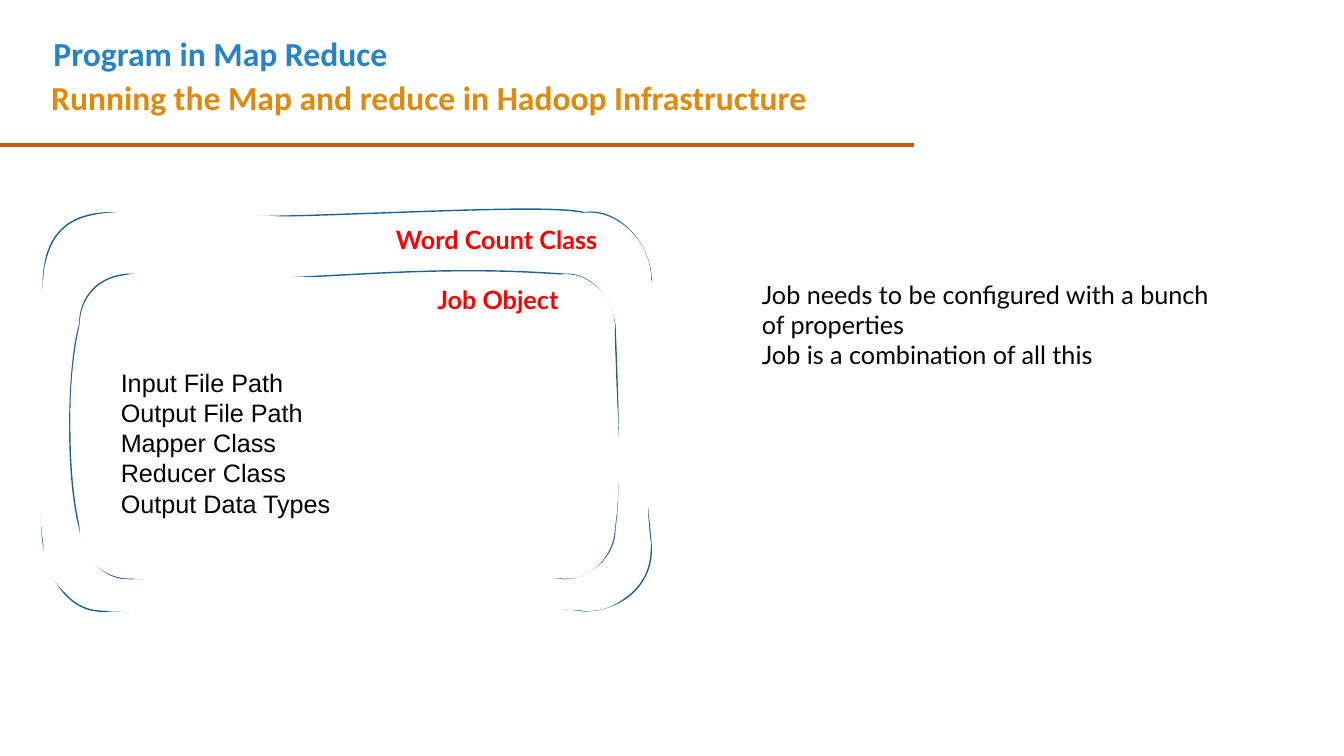
from pptx import Presentation
from pptx.dml.color import RGBColor
from pptx.enum.shapes import MSO_CONNECTOR as CONN
from pptx.enum.text import MSO_ANCHOR as ANCHOR, MSO_AUTO_SIZE as AUTO, PP_ALIGN as ALIGN
from pptx.oxml.ns import qn
from pptx.util import Pt
from lxml import etree

PX = 9144  # EMU in one px, 100 px to the inch
COLORS = {"blue": "2683C6", "gold": "DF8A0C", "rule": "C55A11", "outline": "1C6192",
          "label": "FF0000", "text": "000000", "paper": "FFFFFF"}

# Control points of the hand-drawn frames, clockwise from the left end of the
# top-left corner: one pair for each corner or side
CLASS_STROKE = [((2, 23), (23, 1)), ((169, 15), (488, -13)), ((569, -5), (602, 29)),
                ((587, 180), (591, 206)), ((606, 371), (571, 395)), ((396, 378), (202, 392)),
                ((26, 400), (5, 362)), ((-5, 294), (0, 177))]
CLASS_FILL = [((1, 27), (31, 2)), ((139, -2), (379, 14)), ((572, -2), (603, 30)),
              ((613, 107), (592, 261)), ((598, 370), (571, 397)), ((465, 388), (139, 399)),
              ((35, 394), (0, 369)), ((-7, 277), (-9, 166))]
JOB_STROKE = [((0, 22), (19, 1)), ((195, 16), (306, -13)), ((508, -1), (527, 24)),
              ((535, 138), (536, 223)), ((532, 280), (505, 302)), ((337, 285), (201, 299)),
              ((21, 303), (4, 277)), ((-15, 196), (-11, 84))]
JOB_FILL = [((1, 18), (24, 5)), ((244, -1), (382, 14)), ((508, -1), (530, 25)),
            ((528, 97), (542, 176)), ((530, 280), (506, 304)), ((307, 295), (177, 306)),
            ((25, 302), (0, 282)), ((-9, 180), (-15, 122))]
JOB_PROPERTIES = ["Input File Path", "Output File Path", "Mapper Class",
                  "Reducer Class", "Output Data Types"]


def rgb(name):
    return RGBColor.from_string(COLORS[name])


def add_text(s, box, lines, *, sp=None, font="Lato", size=18, color="text", bold=False):
    """Write lines as paragraphs in a new text box, or in the shape sp."""
    x, y, w, h = (v * PX for v in box)
    if sp is None:
        sp = s.shapes.add_textbox(x, y, w, h)
    else:
        sp.left, sp.top, sp.width, sp.height = x, y, w, h
    tf = sp.text_frame
    tf.word_wrap = True
    tf.auto_size = AUTO.SHAPE_TO_FIT_TEXT
    tf.vertical_anchor = ANCHOR.TOP
    for i, line in enumerate(lines):
        p = tf.add_paragraph() if i else tf.paragraphs[0]
        p.alignment = ALIGN.LEFT
        r = p.add_run()
        r.text = line
        r.font.name, r.font.size, r.font.bold = font, Pt(size), bold
        r.font.color.rgb = rgb(color)


def add_curves(outlines, size, nodes, controls, **flags):
    """Add a closed chain of cubic curves through the nodes to the outlines."""
    w, h = size
    chain = etree.SubElement(outlines, qn("a:path"), w=str(w), h=str(h), **flags)

    def add_step(tag, points):
        step = etree.SubElement(chain, qn(tag))
        for px, py in points:
            etree.SubElement(step, qn("a:pt"), x=str(px), y=str(py))

    add_step("a:moveTo", nodes[:1])
    for (c1, c2), end in zip(controls, nodes[1:] + nodes[:1]):
        add_step("a:cubicBezTo", (c1, c2, end))
    add_step("a:close", ())


def add_frame(s, box, radius, stroke, fill):
    """A sketched line, partly covered by a slightly different white area."""
    x, y, w, h = box
    near_x, near_y = w - radius, h - radius
    nodes = [(0, radius), (radius, 0), (near_x, 0), (w, radius),
             (w, near_y), (near_x, h), (radius, h), (0, near_y)]
    builder = s.shapes.build_freeform(*nodes[0], scale=PX)
    builder.add_line_segments(nodes[1:], close=True)
    sp = builder.convert_to_shape(x * PX, y * PX)
    # Bend the straight sides into the two curved outlines
    outlines = sp.element.spPr.find(qn("a:custGeom")).find(qn("a:pathLst"))
    for straight in list(outlines):
        outlines.remove(straight)
    add_curves(outlines, (w, h), nodes, stroke, fill="none")
    add_curves(outlines, (w, h), nodes, fill, stroke="0")
    sp.shadow.inherit = False
    sp.fill.solid()
    sp.fill.fore_color.rgb = rgb("paper")
    sp.line.color.rgb = rgb("outline")
    sp.line.width = Pt(1)


def add_header(s, box):
    x, y, w, h = box
    heading = dict(font="Calibri", size=24, bold=True)
    add_text(s, (x + 44, y + 28, 820, 50), ["Program in Map Reduce"],
             sp=s.shapes.title, color="blue", **heading)
    add_text(s, (x + 42, y + 71, 875, 50),
             ["Running the Map and reduce in Hadoop Infrastructure"], color="gold", **heading)
    # Rule under the header
    rule = s.shapes.add_connector(CONN.STRAIGHT, x * PX, (y + h) * PX, (x + w) * PX, (y + h) * PX)
    rule.line.color.rgb = rgb("rule")
    rule.line.width = Pt(3)
    etree.SubElement(rule.element.spPr, qn("a:effectLst"))


def add_class_diagram(s, box):
    x, y, w, h = box
    label = dict(color="label", bold=True)
    # Outer frame: the class
    add_frame(s, box, 66, CLASS_STROKE, CLASS_FILL)
    add_text(s, (x + 340, y + 7, 439, 40), ["Word Count Class"], **label)
    # Inner frame: the job and its properties
    add_frame(s, (x + 36, y + 61, w - 72, h - 93), 50, JOB_STROKE, JOB_FILL)
    add_text(s, (x + 381, y + 66, 207, 40), ["Job Object"], **label)
    add_text(s, (x + 67, y + 148, 454, 162), JOB_PROPERTIES, font="Arial")


def add_notes_column(s, box):
    add_text(s, box, ["Job needs to be configured with a bunch of properties",
                      "Job is a combination of all this"])


def main():
    prs = Presentation()
    prs.slide_width, prs.slide_height = round(1333.33 * PX), 750 * PX
    s = prs.slides.add_slide(prs.slide_layouts[5])
    add_header(s, (-1, 0, 908, 144))
    add_class_diagram(s, (43, 211, 603, 395))
    add_notes_column(s, (746, 272, 477, 101))
    prs.save("out.pptx")


if __name__ == "__main__":
    main()
